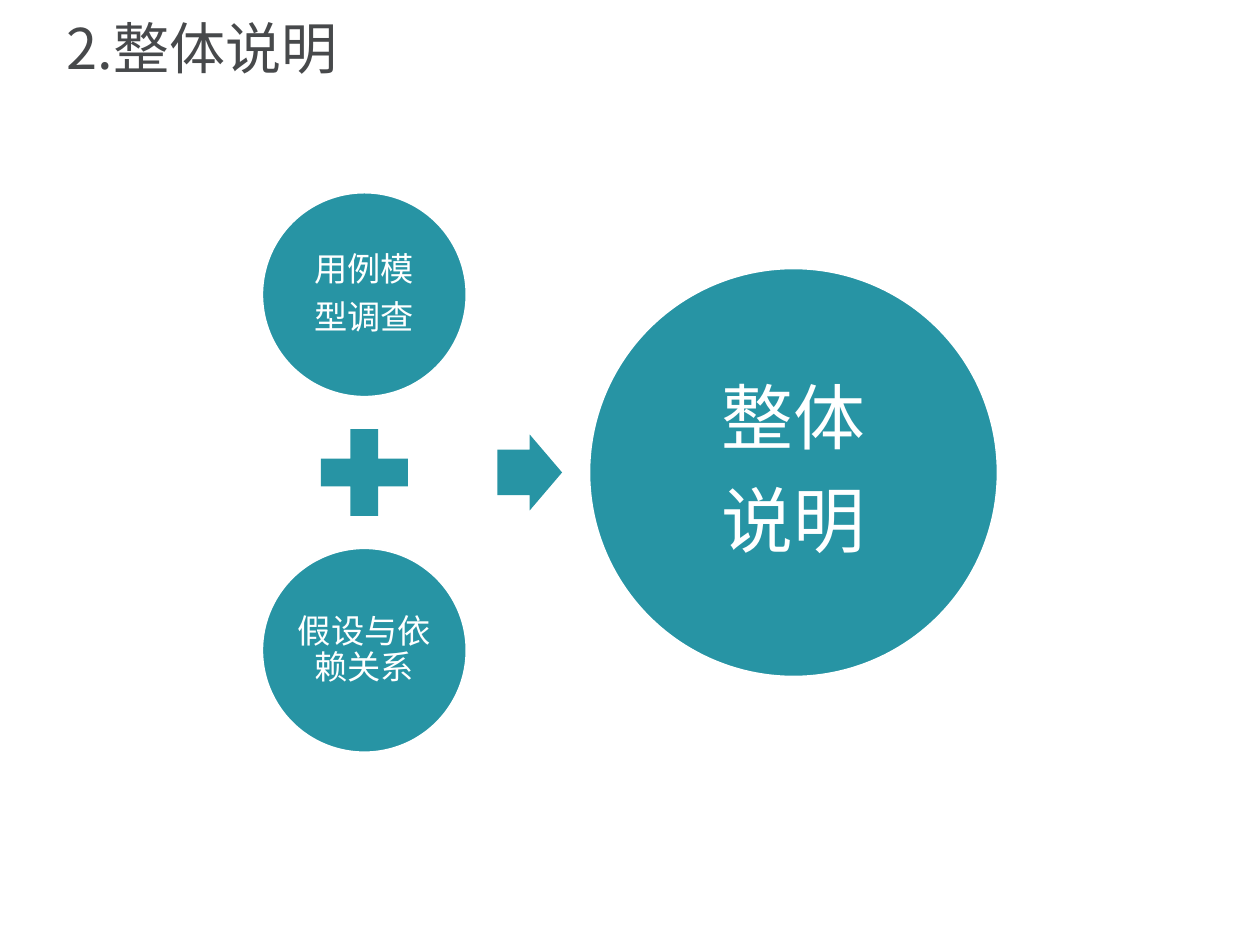
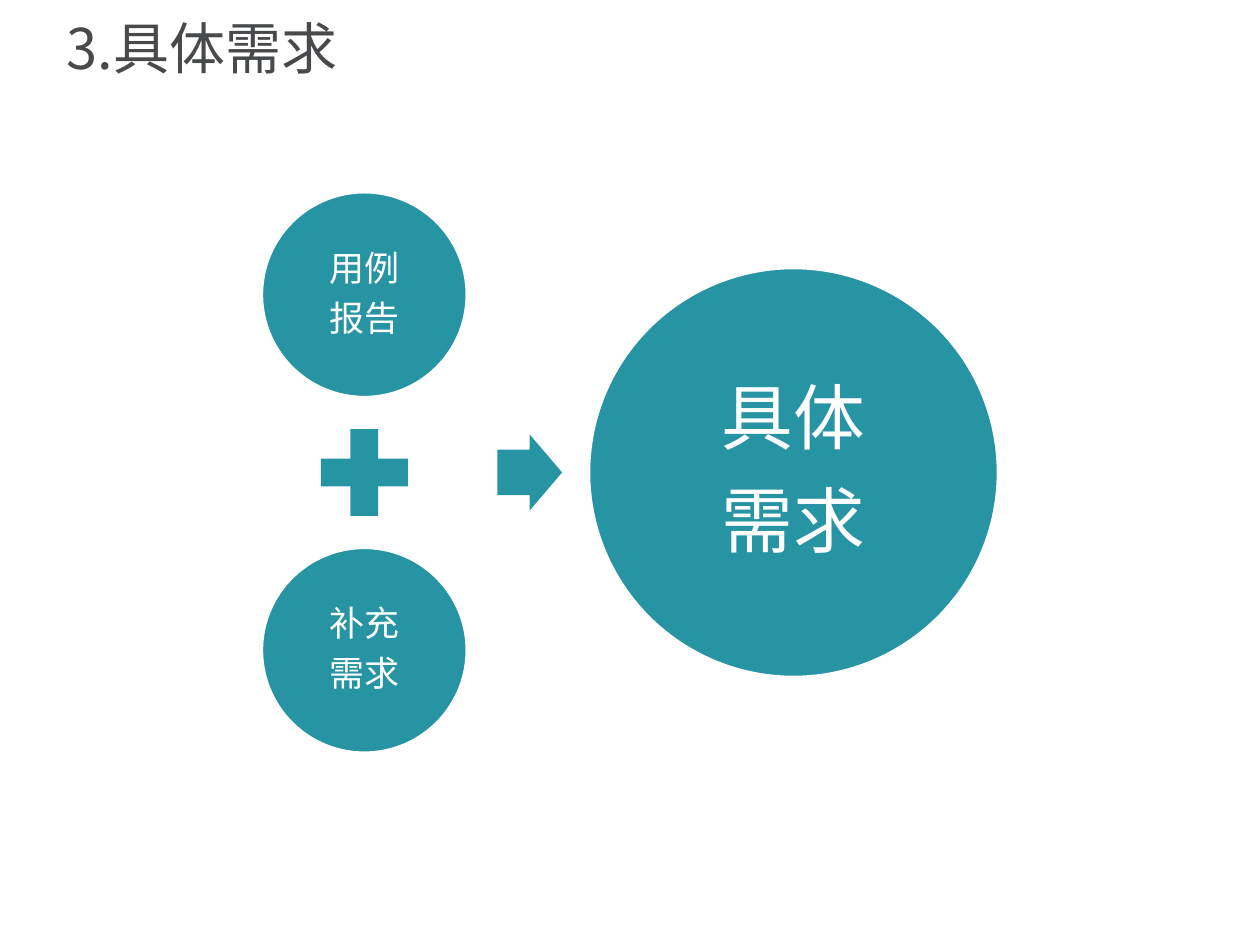
"""Builds two equation slides: two inputs add up to one result."""
from lxml import etree
from pptx import Presentation
from pptx.dml.color import RGBColor
from pptx.enum.shapes import MSO_SHAPE
from pptx.enum.text import MSO_ANCHOR, MSO_AUTO_SIZE, PP_ALIGN
from pptx.oxml.ns import qn
from pptx.util import Pt

OVAL, PLUS, ARROW = MSO_SHAPE.OVAL, MSO_SHAPE.MATH_PLUS, MSO_SHAPE.RIGHT_ARROW
MIDDLE, NO_FIT = MSO_ANCHOR.MIDDLE, MSO_AUTO_SIZE.NONE
LEFT, CENTER = PP_ALIGN.LEFT, PP_ALIGN.CENTER

TEAL = RGBColor(0x27, 0x94, 0xA4)
WHITE = RGBColor(0xFF, 0xFF, 0xFF)
GREY = RGBColor(0x47, 0x49, 0x4B)
FONT = "Noto Sans CJK SC"
TITLE_ONLY = 5

INPUT_X, ARROW_X, RESULT_X = 208.2, 302.7, 453.4
MIDDLE_Y, INPUT_GAP = 270, 101.6
INPUT_D, RESULT_D, PLUS_D = 116.6, 233.2, 67.6
RESULT_SIZE = 41

SLIDES = [
    ("2.整体说明", 19, ["用例模\n型调查", "假设与依赖关系"], "整体\n说明"),
    ("3.具体需求", 20, ["用例\n报告", "补充\n需求"], "具体\n需求"),
]


class Deck:
    def __init__(self):
        self.prs = Presentation()
        self.prs.slide_width, self.prs.slide_height = Pt(720), Pt(540)

    def add_slide(self, title):
        layout = self.prs.slide_layouts[TITLE_ONLY]
        self.slide = self.prs.slides.add_slide(layout)
        s = self.slide.shapes.title
        s.left, s.top, s.width, s.height = Pt(31), Pt(4.3), Pt(651.6), Pt(50.4)
        self.set_text(s.text_frame, title, 32, GREY, LEFT)
        self.diagram = self.slide.shapes.add_group_shape()

    def set_text(self, tf, text, size, color, align, space_after=0):
        tf.text = text
        tf.word_wrap, tf.auto_size, tf.vertical_anchor = True, NO_FIT, MIDDLE
        for p in tf.paragraphs:
            p.alignment, p.line_spacing = align, 0.9
            p.space_after = Pt(space_after)
            for r in p.runs:
                r.font.size, r.font.name = Pt(size), FONT
                r.font.color.rgb = color
                ea = etree.SubElement(r.font._element, qn("a:ea"))
                ea.set("typeface", FONT)

    def symbol(self, kind, x, y, width, height):
        s = self.diagram.shapes.add_shape(
            kind, Pt(x - width / 2), Pt(y - height / 2), Pt(width), Pt(height))
        s.shadow.inherit = False
        s.fill.solid()
        s.fill.fore_color.rgb = TEAL
        s.line.fill.background()
        return s

    def circle(self, x, y, diameter, text, size, margin):
        s = self.symbol(OVAL, x, y, diameter, diameter)
        s.line.color.rgb, s.line.width = WHITE, Pt(1)
        tf = s.text_frame
        tf.margin_left = tf.margin_right = Pt(margin)
        tf.margin_top = tf.margin_bottom = Pt(margin)
        self.set_text(tf, text, size, WHITE, CENTER, 0.35 * size)

    def equation(self, inputs, input_size, result):
        upper, lower = inputs
        self.circle(INPUT_X, MIDDLE_Y - INPUT_GAP, INPUT_D, upper, input_size, 2)
        self.symbol(PLUS, INPUT_X, MIDDLE_Y, PLUS_D, PLUS_D)
        self.circle(INPUT_X, MIDDLE_Y + INPUT_GAP, INPUT_D, lower, input_size, 2)
        arrow = self.symbol(ARROW, ARROW_X, MIDDLE_Y, 37, 43.4)
        arrow.adjustments[0], arrow.adjustments[1] = 0.6, 0.5
        self.circle(RESULT_X, MIDDLE_Y, RESULT_D, result, RESULT_SIZE, 4)


def main():
    deck = Deck()
    for title, input_size, inputs, result in SLIDES:
        deck.add_slide(title)
        deck.equation(inputs, input_size, result)
    deck.prs.save("out.pptx")


if __name__ == "__main__":
    main()
